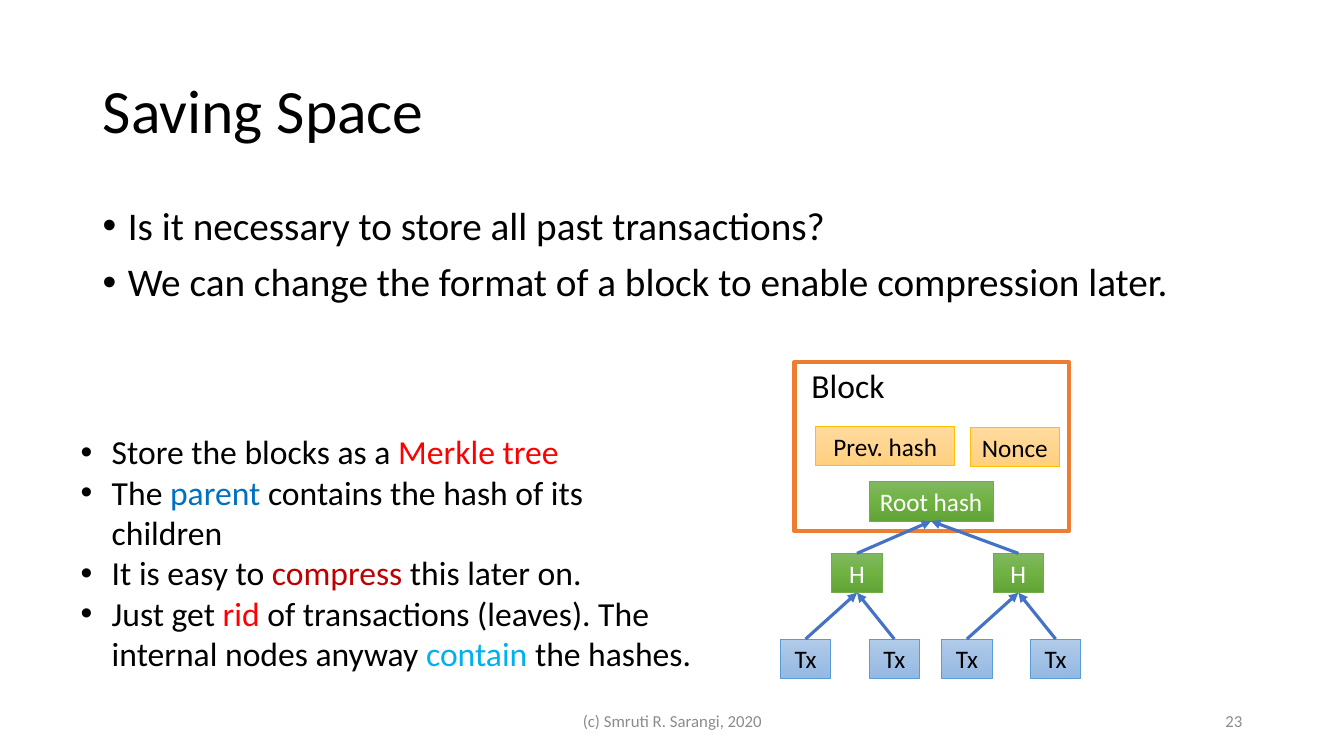
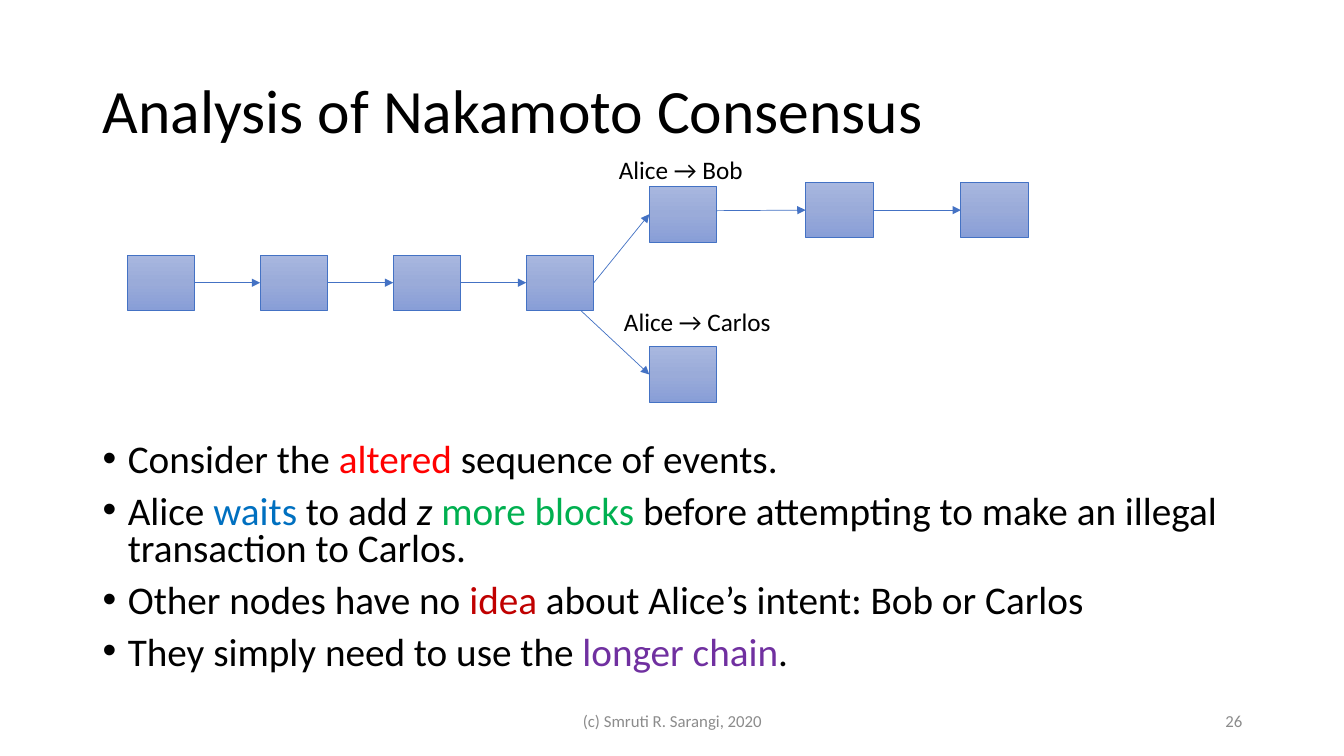
from copy import deepcopy

from pptx import Presentation
from pptx.dml.color import RGBColor
from pptx.enum.shapes import MSO_CONNECTOR, MSO_SHAPE
from pptx.enum.text import MSO_ANCHOR, MSO_AUTO_SIZE, PP_ALIGN
from pptx.oxml.ns import qn
from pptx.util import Emu, Pt
from lxml import etree

RECT = MSO_SHAPE.RECTANGLE
STRAIGHT = MSO_CONNECTOR.STRAIGHT
LEFT, CENTER, RIGHT = PP_ALIGN.LEFT, PP_ALIGN.CENTER, PP_ALIGN.RIGHT
TOP_ANCHOR, MIDDLE = MSO_ANCHOR.TOP, MSO_ANCHOR.MIDDLE
FIT_SHAPE, NO_FIT = MSO_AUTO_SIZE.SHAPE_TO_FIT_TEXT, MSO_AUTO_SIZE.NONE
TOP, LEFT_SIDE, BOTTOM, RIGHT_SIDE = range(4)

FONT = "Calibri"
COLORS = {
    "black": "000000", "white": "FFFFFF", "gray": "8C8C8C",
    "red": "FF0000", "blue": "0070C0", "dark red": "C00000",
    "sky": "00B0F0", "green": "00B050", "purple": "7030A0",
    "arrow": "4472C4", "frame": "ED7D31",
}
# Node styles: three gradient stops, outline, text colour
NODES = {
    "gold": (("FFDB9E", "FFD590", "FFD07C"), "FFC000", "black"),
    "green": (("81B861", "6FB242", "62A336"), "70AD47", "white"),
    "blue": (("B1CBE9", "A3C1E5", "93B9E4"), "5B9BD5", "black"),
    "indigo": (("A8B7DF", "9AABD9", "889ED7"), "4472C4", "black"),
}


def px(n):
    """Turn px (100 to the inch) into EMU."""
    return Emu(n * 9144)


def rgb(name):
    return RGBColor.from_string(COLORS.get(name, name))


class Deck:
    def __init__(self):
        self.prs = Presentation()
        self.prs.slide_width, self.prs.slide_height = px(1333), px(750)
        self.s = None

    def slide(self, title, number):
        """Start a slide with its title, footer and number."""
        self.s = self.prs.slides.add_slide(self.prs.slide_layouts[5])
        sp = self.s.shapes.title
        sp.left, sp.top, sp.width, sp.height = map(px, (92, 40, 1150, 145))
        tf = sp.text_frame
        tf.auto_size, tf.vertical_anchor = NO_FIT, MIDDLE
        self.add_runs(tf.paragraphs[0], [title], 44)
        tf.paragraphs[0].line_spacing = 0.9
        self.text((442, 695, 450, 40), [["(c) Smruti R. Sarangi, 2020"]], 12,
                  "gray", align=CENTER, anchor=MIDDLE)
        self.text((942, 695, 300, 40), [[number]], 12, "gray",
                  align=RIGHT, anchor=MIDDLE)

    def add_runs(self, p, runs, size, color="black", align=LEFT):
        """Fill a paragraph; a run is a text or (text, colour[, italic])."""
        p.alignment = align
        for run in runs:
            text, tint, *italic = (run, color) if isinstance(run, str) else run
            for i, line in enumerate(text.split("\n")):
                if i:
                    p.add_line_break()
                r = p.add_run()
                r.text = line
                r.font.name, r.font.size = FONT, Pt(size)
                r.font.color.rgb = rgb(tint)
                if italic:
                    r.font.italic = True

    def text(self, box, paras, size, color="black", align=LEFT,
             anchor=TOP_ANCHOR, wrap=True, indent=0, spacing=1.0, before=0):
        """Add a text box, bulleted when an indent is given."""
        tf = self.s.shapes.add_textbox(*map(px, box)).text_frame
        tf.word_wrap, tf.vertical_anchor = wrap, anchor
        tf.auto_size = NO_FIT if wrap else FIT_SHAPE
        for i, runs in enumerate(paras):
            p = tf.add_paragraph() if i else tf.paragraphs[0]
            if indent:
                self.bullet(p, indent)
            p.line_spacing = spacing
            if i:
                p.space_before = Pt(before)
            self.add_runs(p, runs, size, color, align)

    def bullet(self, p, indent):
        pPr = p._p.get_or_add_pPr()
        pPr.set("marL", str(px(indent)))
        pPr.set("indent", str(-px(indent)))
        etree.SubElement(pPr, qn("a:buFont")).set("typeface", "Arial")
        etree.SubElement(pPr, qn("a:buChar")).set("char", "•")

    def rect(self, box, line, width):
        sp = self.s.shapes.add_shape(RECT, *map(px, box))
        sp.shadow.inherit = False
        sp.line.color.rgb, sp.line.width = rgb(line), Pt(width)
        return sp

    def frame(self, box):
        sp = self.rect(box, "frame", 3)
        sp.fill.solid()
        sp.fill.fore_color.rgb = rgb("white")

    def node(self, box, style, label=""):
        """Add a gradient box with an optional centred label."""
        stops, line, color = NODES[style]
        sp = self.rect(box, line, 0.5)
        sp.fill.gradient()
        sp.fill.gradient_angle = 270
        gs_list = sp._element.spPr.find(".//" + qn("a:gsLst"))
        gs_list.insert(1, deepcopy(gs_list[0]))
        for i, stop in enumerate(sp.fill.gradient_stops):
            stop.position = i / 2
            stop.color.rgb = rgb(stops[i])
        if label:
            tf = sp.text_frame
            tf.margin_left = tf.margin_right = 0
            tf.vertical_anchor = MIDDLE
            self.add_runs(tf.paragraphs[0], [label], 18, color, CENTER)
        return sp

    def arrow(self, start, end, width):
        """Draw an arrow; each end is (x, y) in px or (shape, side)."""
        points = [e if isinstance(e[0], int) else (0, 0) for e in (start, end)]
        c = self.s.shapes.add_connector(
            STRAIGHT, *(px(v) for point in points for v in point))
        if not isinstance(start[0], int):
            c.begin_connect(*start)
        if not isinstance(end[0], int):
            c.end_connect(*end)
        c.line.color.rgb, c.line.width = rgb("arrow"), Pt(width)
        spPr = c._element.spPr
        etree.SubElement(spPr.find(qn("a:ln")), qn("a:tailEnd")).set(
            "type", "triangle")
        etree.SubElement(spPr, qn("a:effectLst"))


def saving_space(d):
    d.slide("Saving Space", "23")
    d.text((92, 200, 1150, 145), [
        ["Is it necessary to store all past transactions?"],
        ["We can change the format of a block to enable compression later."],
    ], 28, indent=25, spacing=0.9, before=10)

    # Block with its header fields
    d.frame((788, 359, 272, 168))
    d.text((795, 357, 101, 50), [["Block"]], 24)
    d.node((809, 423, 138, 39), "gold", "Prev. hash")
    d.node((962, 424, 89, 39), "gold", "Nonce")

    # Merkle tree, from the root down
    root = d.node((862, 478, 123, 39), "green", "Root hash")
    for x in (825, 985):
        parent = d.node((x, 549, 50, 39), "green", "H")
        d.arrow((parent, TOP), (root, BOTTOM), 2.25)
        for dx in (-51, 37):
            leaf = d.node((x + dx, 634, 50, 39), "blue", "Tx")
            d.arrow((leaf, TOP), (parent, BOTTOM), 2.25)

    d.text((70, 423, 632, 252), [
        ["Store the blocks as a ", ("Merkle tree", "red")],
        ["The ", ("parent", "blue"), " contains the hash of its\nchildren"],
        ["It is easy to ", ("compress", "dark red"), " this later on."],
        ["Just get ", ("rid", "red"),
         " of transactions (leaves). The\ninternal nodes anyway ",
         ("contain", "sky"), " the hashes."],
    ], 24, wrap=False, indent=31)


def nakamoto(d):
    d.slide("Analysis of Nakamoto Consensus", "26")
    w, h = 67, 55

    # Common chain
    chain = [d.node((126 + 132 * i, 253, w, h), "indigo") for i in range(4)]
    for a, b in zip(chain, chain[1:]):
        d.arrow((a, RIGHT_SIDE), (b, LEFT_SIDE), 0.5)

    # Fork and the longer branch
    bob = d.node((644, 185, w, h), "indigo")
    carlos = d.node((644, 344, w, h), "indigo")
    d.arrow((chain[-1], RIGHT_SIDE), (bob, LEFT_SIDE), 0.5)
    d.arrow((576, 308), (carlos, LEFT_SIDE), 0.5)
    second, third = (d.node((x, 181, w, h), "indigo") for x in (799, 953))
    d.arrow((711, 209), (second, LEFT_SIDE), 0.5)
    d.arrow((second, RIGHT_SIDE), (third, LEFT_SIDE), 0.5)
    d.text((604, 148, 146, 40), [["Alice → Bob"]], 18, wrap=False)
    d.text((609, 299, 169, 40), [["Alice → Carlos"]], 18, wrap=False)

    d.text((92, 435, 1150, 260), [
        ["Consider the ", ("altered", "red"), " sequence of events."],
        ["Alice ", ("waits", "blue"), " to add ", ("z ", "black", True),
         ("more blocks ", "green"),
         "before attempting to make an illegal transaction to Carlos."],
        ["Other nodes have no ", ("idea", "dark red"),
         " about Alice’s intent: Bob or Carlos"],
        ["They simply need to use the ", ("longer chain", "purple"), "."],
    ], 28, indent=25, spacing=0.8, before=10)


def main():
    d = Deck()
    saving_space(d)
    nakamoto(d)
    d.prs.save("out.pptx")


if __name__ == "__main__":
    main()
